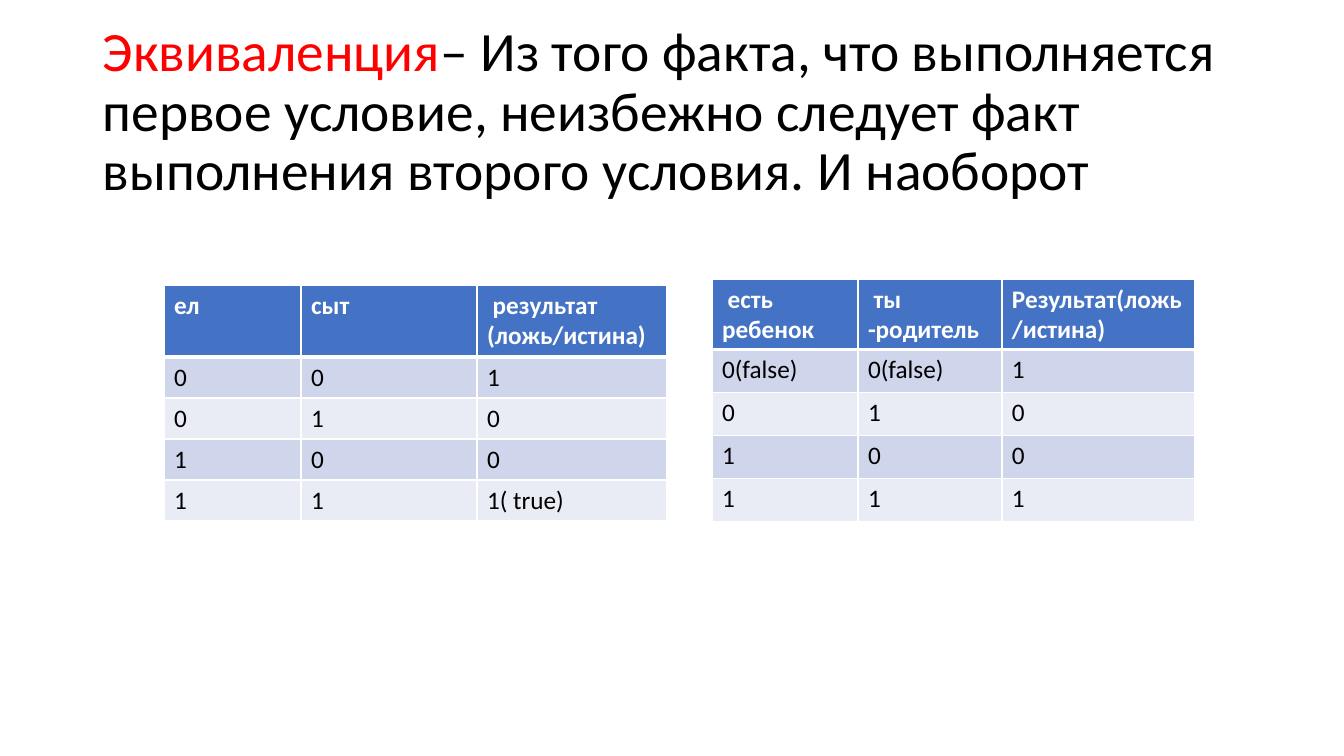
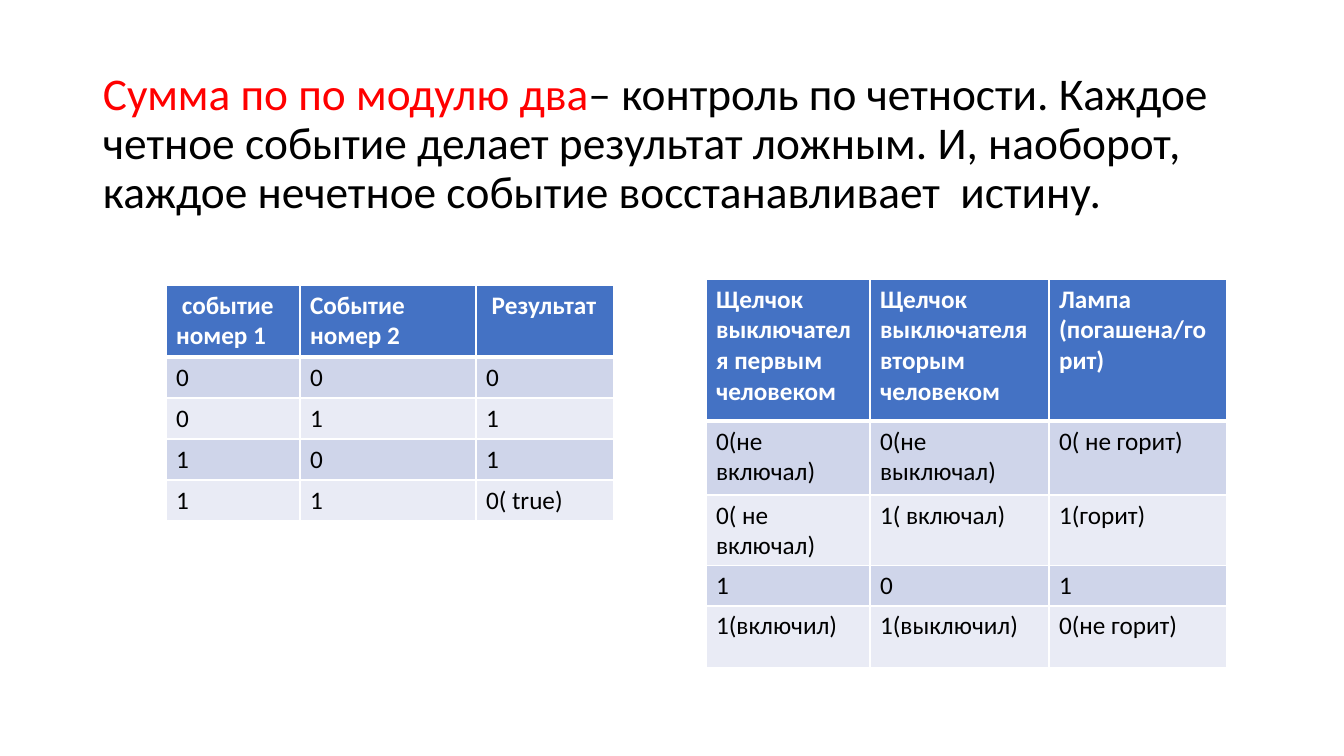
from dataclasses import dataclass

from lxml.etree import SubElement
from pptx import Presentation
from pptx.dml.color import RGBColor
from pptx.enum.text import MSO_ANCHOR
from pptx.oxml.ns import qn
from pptx.util import Emu, Pt

SCALE = 914400 / 100.8


@dataclass(frozen=True)
class Theme:
    """Colours, type sizes and line widths of the deck."""

    font: str = "Calibri"
    term: str = "FF0000"
    ink: str = "000000"
    paper: str = "FFFFFF"
    header: str = "4472C4"
    bands: tuple = ("CFD5EA", "E9EBF5")
    cell_size: float = 18
    line_spacing: float = 0.9
    rule: float = 1
    header_rule: float = 3


THEME = Theme()

SLIDES = [
    {
        "title": {
            "area": (93, 40, 1159, 146),
            "size": 39.6,
            "term": "Эквиваленция",
            "meaning": "– Из того факта, что выполняется первое условие, неизбежно "
                       "следует факт  выполнения второго условия. И наоборот",
        },
        "tables": [
            {
                "corner": (712, 279),
                "widths": (146, 144, 193),
                "heights": (70, 43, 43, 43, 43),
                "rows": [
                    (" есть ребенок", " ты -родитель", "Результат(ложь/истина)"),
                    ("0(false)", "0(false)", "1"),
                    ("0", "1", "0"),
                    ("1", "0", "0"),
                    ("1", "1", "1"),
                ],
            },
            {
                "corner": (164, 285),
                "widths": (137, 176, 190),
                "heights": (72, 41, 41, 41, 41),
                "rows": [
                    ("ел", "сыт ", " результат (ложь/истина)"),
                    ("0", "0", "1"),
                    ("0", "1", "0"),
                    ("1", "0", "0"),
                    ("1", "1", "1( true)"),
                ],
            },
        ],
    },
    {
        "title": {
            "area": (93, 40, 1172, 210),
            "size": 32.4,
            "term": "Сумма по по модулю два",
            "meaning": "– контроль по четности. Каждое четное событие делает результат "
                       "ложным. И, наоборот, каждое нечетное событие восстанавливает  истину.",
        },
        "tables": [
            {
                "corner": (706, 279),
                "widths": (164, 179, 178),
                "heights": (142, 74, 62, 35, 62),
                "rows": [
                    ("Щелчок выключателя первым человеком",
                     "Щелчок выключателя вторым человеком",
                     "Лампа (погашена/горит)"),
                    ("0(не включал)", "0(не выключал)", "0( не горит)"),
                    ("0( не включал)", "1( включал)", "1(горит)"),
                    ("1", "0", "1"),
                    ("1(включил)", "1(выключил)", "0(не горит)"),
                ],
            },
            {
                "corner": (166, 285),
                "widths": (134, 176, 138),
                "heights": (72, 41, 41, 41, 41),
                "rows": [
                    (" событие номер 1", "Событие номер 2", " Результат"),
                    ("0", "0", "0"),
                    ("0", "1", "1"),
                    ("1", "0", "1"),
                    ("1", "1", "0( true)"),
                ],
            },
        ],
    },
]


def px(length):
    """Turn pixels into EMU."""
    return Emu(round(length * SCALE))


def apply(target, values):
    """Set every named attribute on the target."""
    for name, value in values.items():
        setattr(target, name, value)


def add_span(para, text, size, colour, bold=False):
    """Append one formatted run to a paragraph."""
    span = para.add_run()
    span.text = text
    apply(span.font, {"name": THEME.font, "size": Pt(size), "bold": bold})
    span.font.color.rgb = RGBColor.from_string(colour)


def add_title(page, area, size, term, meaning):
    """Add a definition that opens with a highlighted term."""
    box = page.shapes.add_textbox(*map(px, area))
    apply(box.text_frame, {"word_wrap": True, "vertical_anchor": MSO_ANCHOR.MIDDLE})
    para = box.text_frame.paragraphs[0]
    para.line_spacing = THEME.line_spacing
    add_span(para, term, size, THEME.term)
    add_span(para, meaning, size, THEME.ink)


def set_borders(cell, top, bottom):
    """Draw the four cell borders, ahead of the fill in the cell properties."""
    properties = cell._tc.get_or_add_tcPr()
    sides = {"lnL": THEME.rule, "lnR": THEME.rule, "lnT": top, "lnB": bottom}
    for position, (side, width) in enumerate(sides.items()):
        line = SubElement(properties, qn(f"a:{side}"), w=str(Pt(width)))
        fill = SubElement(line, qn("a:solidFill"))
        SubElement(fill, qn("a:srgbClr"), val=THEME.paper)
        properties.insert(position, line)


def fill_cell(cell, text, row):
    """Write and format a cell according to its row number."""
    is_header = row == 0
    cell.fill.solid()
    colour = THEME.header if is_header else THEME.bands[(row - 1) % 2]
    cell.fill.fore_color.rgb = RGBColor.from_string(colour)
    add_span(cell.text_frame.paragraphs[0], text, THEME.cell_size,
             THEME.paper if is_header else THEME.ink, is_header)
    set_borders(cell,
                top=THEME.header_rule if row == 1 else THEME.rule,
                bottom=THEME.header_rule if is_header else THEME.rule)


def add_truth_table(page, corner, widths, heights, rows):
    """Add a truth table with a header row and banded body rows."""
    area = (*corner, sum(widths), sum(heights))
    table = page.shapes.add_table(len(rows), len(widths), *map(px, area)).table
    for column, width in zip(table.columns, widths):
        column.width = px(width)
    for table_row, height in zip(table.rows, heights):
        table_row.height = px(height)
    for row, texts in enumerate(rows):
        for column, text in enumerate(texts):
            fill_cell(table.cell(row, column), text, row)


def main():
    """Build and save the deck."""
    deck = Presentation()
    apply(deck, {"slide_width": px(1344), "slide_height": px(756)})
    for content in SLIDES:
        page = deck.slides.add_slide(deck.slide_layouts[6])
        add_title(page, **content["title"])
        for table in content["tables"]:
            add_truth_table(page, **table)
    deck.save("out.pptx")


main()
